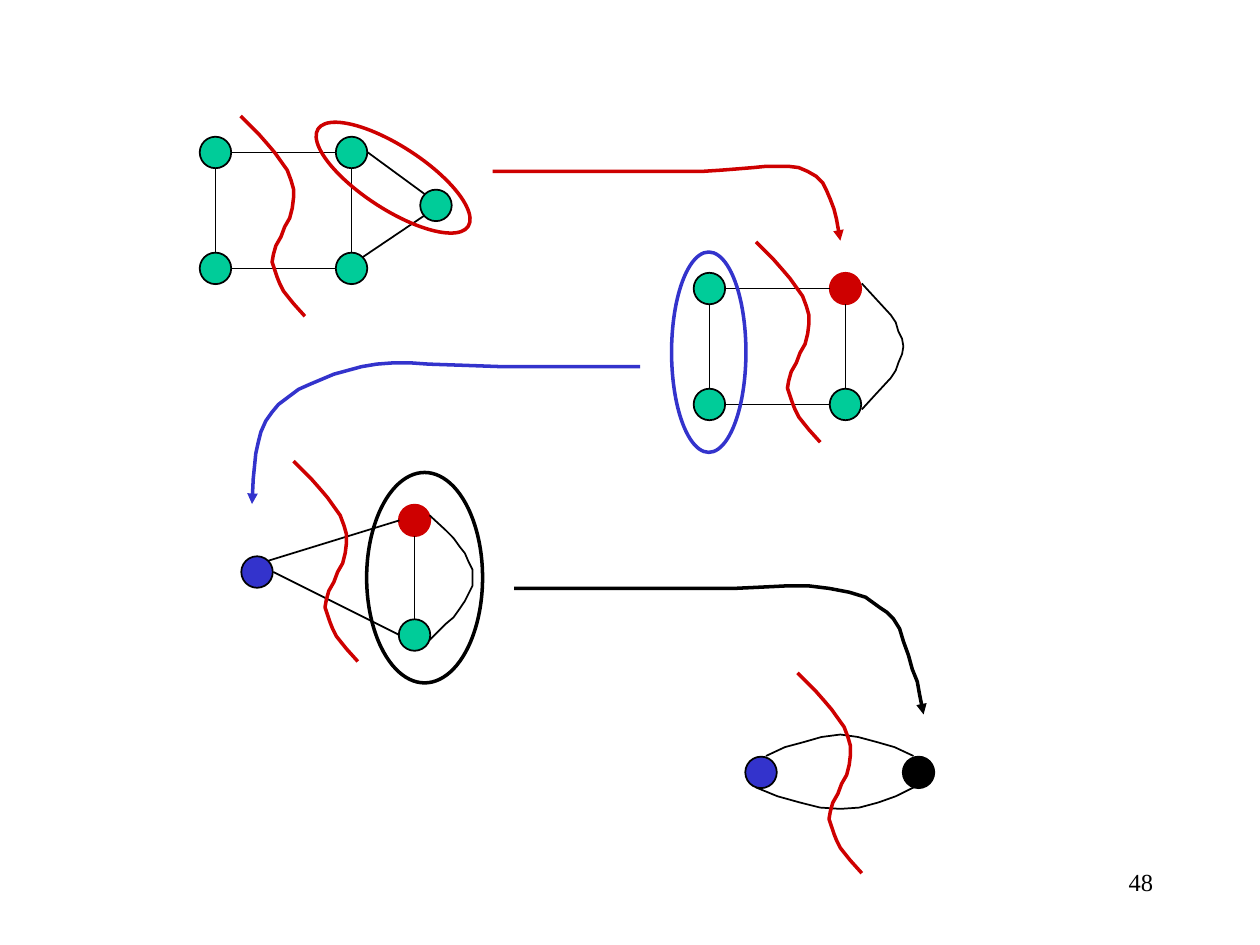
"""Build a slide of four graphs that shrink step by step as edges are contracted."""
from dataclasses import dataclass

from lxml import etree
from pptx import Presentation
from pptx.dml.color import RGBColor
from pptx.enum.shapes import MSO_CONNECTOR, MSO_SHAPE
from pptx.enum.text import PP_ALIGN
from pptx.oxml.ns import qn
from pptx.util import Cm, Pt

OVAL = MSO_SHAPE.OVAL
STRAIGHT = MSO_CONNECTOR.STRAIGHT
RIGHT = PP_ALIGN.RIGHT
INCH = 2.54


@dataclass(frozen=True)
class Theme:
    green: str = "00CC99"
    red: str = "CE0000"
    blue: str = "3333CC"
    black: str = "000000"
    font: str = "Times New Roman"
    number_size: int = 14
    thin: int = 1
    thick: int = 2


theme = Theme()


def stroke(shape, color, width, arrow=False):
    shape.line.color.rgb = RGBColor.from_string(color)
    shape.line.width = Pt(width)
    properties = shape.element.spPr
    if arrow:
        etree.SubElement(properties.find(qn("a:ln")), qn("a:tailEnd"), type="triangle")
    etree.SubElement(properties, qn("a:effectLst"))


def write_text(page, text, left, top, width, height, *, size, color, font, align):
    box = page.shapes.add_textbox(*(Cm(INCH * v) for v in (left, top, width, height)))
    box.text_frame.word_wrap = True
    para = box.text_frame.paragraphs[0]
    para.alignment = align
    span = para.add_run()
    span.text = text
    span.font.size = Pt(size)
    span.font.name = font
    span.font.color.rgb = RGBColor.from_string(color)


deck = Presentation()
deck.slide_width = Cm(10 * INCH)
deck.slide_height = Cm(7.5 * INCH)
page = deck.slides.add_slide(deck.slide_layouts[6])

radius = 0.125
square_width, square_height = 1.08, 0.92
nodes = [
    (3.46, 1.63, theme.green, theme.black),
    (2.04, 4.54, theme.blue, theme.black),
    (3.29, 4.13, theme.red, theme.red),
    (3.29, 5.04, theme.green, theme.black),
    (6.04, 6.13, theme.blue, theme.black),
    (7.29, 6.13, theme.black, theme.black),
]
edges = [
    (2.92, 1.21, 3.37, 1.54),
    (3.37, 1.71, 2.88, 2.04),
    (2.17, 4.54, 3.17, 5.04),
    (3.29, 4.25, 3.29, 4.92),
    (3.17, 4.13, 2.13, 4.45),
]
for left, top, corner_fill, corner_line in (
    (1.71, 1.21, theme.green, theme.black),
    (5.63, 2.29, theme.red, theme.red),
):
    right, bottom = left + square_width, top + square_height
    nodes += [(x, y, theme.green, theme.black) for x, y in ((left, top), (left, bottom), (right, bottom))]
    nodes.append((right, top, corner_fill, corner_line))
    edges += [(left + radius, y, right - radius, y) for y in (top, bottom)]
    edges += [(x, top + radius, x, bottom - radius) for x in (left, right)]

for x, y, fill, outline in nodes:
    node = page.shapes.add_shape(
        OVAL, *(Cm(INCH * v) for v in (x - radius, y - radius, 2 * radius, 2 * radius))
    )
    node.fill.solid()
    node.fill.fore_color.rgb = RGBColor.from_string(fill)
    stroke(node, outline, theme.thin)

for ends in edges:
    edge = page.shapes.add_connector(STRAIGHT, *(Cm(INCH * v) for v in ends))
    stroke(edge, theme.black, theme.thin)

rings = [
    (2.41, 1.16, 1.42, 0.5, 33, theme.red),
    (5.33, 2, 0.59, 1.59, 0, theme.blue),
    (2.91, 3.75, 0.92, 1.67, 0, theme.black),
]
for *frame, angle, color in rings:
    ring = page.shapes.add_shape(OVAL, *(Cm(INCH * v) for v in frame))
    ring.rotation = angle
    ring.fill.background()
    stroke(ring, color, theme.thick)

arcs = [
    [(6.84, 3.25), (6.95, 3.13), (7.07, 3), (7.11, 2.94), (7.13, 2.88), (7.16, 2.81), (7.17, 2.75),
     (7.16, 2.69), (7.13, 2.63), (7.11, 2.56), (7.07, 2.5), (6.95, 2.37), (6.84, 2.25)],
    [(3.41, 5.08), (3.54, 4.95), (3.6, 4.9), (3.65, 4.83), (3.69, 4.77), (3.72, 4.71), (3.75, 4.65),
     (3.75, 4.58), (3.75, 4.52), (3.72, 4.46), (3.69, 4.39), (3.65, 4.34), (3.6, 4.27), (3.54, 4.21),
     (3.41, 4.09)],
    [(6.08, 6), (6.23, 5.93), (6.38, 5.89), (6.52, 5.85), (6.67, 5.83), (6.81, 5.85), (6.96, 5.89),
     (7.1, 5.93), (7.25, 6)],
    [(6, 6.25), (6.17, 6.32), (6.35, 6.37), (6.51, 6.41), (6.67, 6.42), (6.82, 6.41), (6.97, 6.37),
     (7.11, 6.32), (7.25, 6.25)],
]
red_arrow = [
    (3.91, 1.36), (5.58, 1.36), (5.73, 1.35), (5.86, 1.34), (5.98, 1.33), (6.08, 1.32), (6.26, 1.32),
    (6.34, 1.33), (6.41, 1.36), (6.48, 1.4), (6.53, 1.45), (6.56, 1.51), (6.59, 1.58), (6.62, 1.66),
    (6.64, 1.74), (6.67, 1.91),
]
blue_arrow = [
    (5.08, 2.91), (3.98, 2.91), (3.69, 2.9), (3.4, 2.89), (3.26, 2.88), (3.12, 2.88), (2.99, 2.89),
    (2.87, 2.91), (2.65, 2.97), (2.46, 3.05), (2.37, 3.09), (2.29, 3.15), (2.21, 3.21), (2.16, 3.27),
    (2.11, 3.34), (2.07, 3.43), (2.05, 3.51), (2.03, 3.6), (2.01, 3.8), (2, 4),
]
black_arrow = [
    (4.08, 4.67), (5.83, 4.67), (6.04, 4.66), (6.24, 4.65), (6.42, 4.65), (6.58, 4.67), (6.74, 4.7),
    (6.87, 4.74), (6.98, 4.82), (7.04, 4.86), (7.09, 4.91), (7.14, 4.99), (7.17, 5.09), (7.21, 5.2),
    (7.24, 5.31), (7.28, 5.41), (7.3, 5.52), (7.33, 5.67),
]
cut = [
    (0, 0), (0.14, 0.14), (0.21, 0.22), (0.27, 0.29), (0.32, 0.36), (0.37, 0.43), (0.4, 0.51),
    (0.42, 0.58), (0.42, 0.65), (0.41, 0.73), (0.39, 0.81), (0.35, 0.88), (0.32, 0.96), (0.28, 1.03),
    (0.26, 1.1), (0.25, 1.16), (0.27, 1.22), (0.29, 1.28), (0.31, 1.33), (0.34, 1.39), (0.38, 1.44),
    (0.42, 1.49), (0.51, 1.59),
]
cut_starts = [(6.33, 5.34), (1.91, 0.92), (2.33, 3.66), (6, 1.92)]

curves = [(points, theme.black, theme.thin, False) for points in arcs]
curves += [
    (red_arrow, theme.red, theme.thick, True),
    (blue_arrow, theme.blue, theme.thick, True),
    (black_arrow, theme.black, theme.thick, True),
]
curves += [
    ([(left + x, top + y) for x, y in cut], theme.red, theme.thick, False) for left, top in cut_starts
]
for points, color, width, arrow in curves:
    start, *rest = [(Cm(INCH * x), Cm(INCH * y)) for x, y in points]
    builder = page.shapes.build_freeform(*start)
    builder.add_line_segments(rest, close=False)
    curve = builder.convert_to_shape()
    curve.fill.background()
    stroke(curve, color, width, arrow)

write_text(
    page, "48", 7.17, 6.83, 2.08, 0.5,
    size=theme.number_size, color=theme.black, font=theme.font, align=RIGHT,
)

deck.save("out.pptx")
